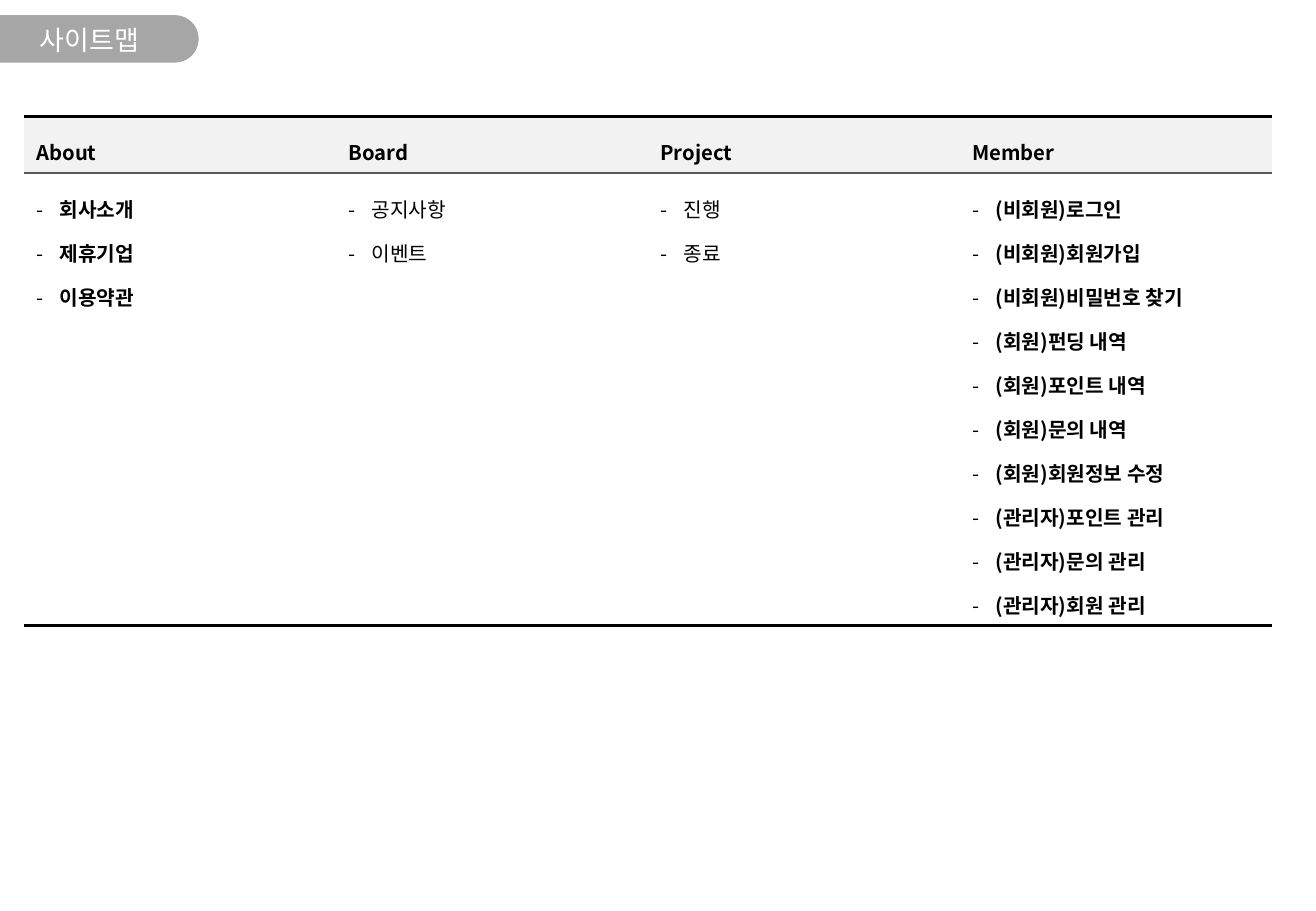
from dataclasses import dataclass

from lxml.etree import SubElement
from pptx import Presentation
from pptx.dml.color import RGBColor
from pptx.enum.shapes import MSO_SHAPE
from pptx.enum.text import MSO_ANCHOR, MSO_AUTO_SIZE, PP_ALIGN
from pptx.oxml.ns import qn
from pptx.util import Inches, Pt


@dataclass(frozen=True)
class Theme:
    font: str = "Noto Sans CJK KR"
    black: str = "000000"
    white: str = "FFFFFF"
    tab: str = "A6A6A6"
    head: str = "F2F2F2"
    rule: str = "595959"
    title: int = 16
    body: int = 12


THEME = Theme()

# Heading, bold items, items
MENU = [
    ("About", True, ["회사소개", "제휴기업", "이용약관"]),
    ("Board", False, ["공지사항", "이벤트"]),
    ("Project", False, ["진행", "종료"]),
    ("Member", True, [
        "(비회원)로그인", "(비회원)회원가입", "(비회원)비밀번호 찾기",
        "(회원)펀딩 내역", "(회원)포인트 내역", "(회원)문의 내역",
        "(회원)회원정보 수정", "(관리자)포인트 관리", "(관리자)문의 관리",
        "(관리자)회원 관리",
    ]),
]


def add_dash(para):
    """Give the paragraph a hanging dash bullet."""
    props = para._p.get_or_add_pPr()
    props.set("marL", str(Inches(0.19)))
    props.set("indent", str(-Inches(0.19)))
    SubElement(props, qn("a:buFont"), typeface=THEME.font)
    SubElement(props, qn("a:buChar"), char="-")


def put_text(frame, lines, size=THEME.body, color=THEME.black, bold=False,
             align=PP_ALIGN.LEFT, space=1.5, dash=False):
    for i, line in enumerate(lines):
        para = frame.add_paragraph() if i else frame.paragraphs[0]
        para.alignment = align
        para.line_spacing = space
        para.space_before = Pt(0)
        if dash:
            add_dash(para)
        run = para.add_run()
        run.text = line
        font = run.font
        font.size, font.bold, font.name = Pt(size), bold, THEME.font
        font.color.rgb = RGBColor.from_string(color)
        SubElement(run._r.get_or_add_rPr(), qn("a:ea"), typeface=THEME.font)


def set_edge(cell, side, color=None, width=0):
    line = SubElement(cell._tc.get_or_add_tcPr(), qn(f"a:ln{side}"),
                      w=str(Pt(width)))
    if color:
        fill = SubElement(line, qn("a:solidFill"))
        SubElement(fill, qn("a:srgbClr"), val=color)
    else:
        SubElement(line, qn("a:noFill"))


def style_cell(cell, color, top, bottom):
    set_edge(cell, "L")
    set_edge(cell, "R")
    set_edge(cell, "T", *top)
    set_edge(cell, "B", *bottom)
    cell.fill.solid()
    cell.fill.fore_color.rgb = RGBColor.from_string(color)


def add_title(slide, text):
    tab = slide.shapes.add_shape(
        MSO_SHAPE.ROUND_2_SAME_RECTANGLE,
        Inches(0.62), Inches(-0.5), Inches(0.39), Inches(1.64))
    tab.adjustments[0], tab.adjustments[1] = 0, 0.5
    tab.rotation = 270
    tab.shadow.inherit = False
    tab.fill.solid()
    tab.fill.fore_color.rgb = RGBColor.from_string(THEME.tab)
    tab.line.fill.background()

    title = slide.shapes.title
    tab.element.addnext(title.element)
    title.left, title.top = Inches(-0.01), Inches(0.13)
    title.width, title.height = Inches(1.49), Inches(0.39)
    frame = title.text_frame
    frame.auto_size = MSO_AUTO_SIZE.NONE
    frame.vertical_anchor = MSO_ANCHOR.MIDDLE
    put_text(frame, [text], size=THEME.title, color=THEME.white,
             align=PP_ALIGN.CENTER, space=1.0)


def add_menu(slide, menu):
    table = slide.shapes.add_table(
        2, len(menu), Inches(0.2), Inches(0.96),
        Inches(10.27), Inches(3.54)).table
    table.first_row = table.horz_banding = False
    table.rows[0].height, table.rows[1].height = Inches(0.44), Inches(3.1)
    thick, thin = (THEME.black, 2), (THEME.rule, 1)
    for col, (name, bold, items) in enumerate(menu):
        head, body = table.cell(0, col), table.cell(1, col)
        style_cell(head, THEME.head, thick, thin)
        style_cell(body, THEME.white, thin, thick)
        head.vertical_anchor = MSO_ANCHOR.MIDDLE
        put_text(head.text_frame, [name], bold=True)
        put_text(body.text_frame, items, bold=bold, dash=True)


def main():
    deck = Presentation()
    deck.slide_width, deck.slide_height = Inches(10.83), Inches(7.5)
    slide = deck.slides.add_slide(deck.slide_layouts[5])
    add_title(slide, "사이트맵")
    add_menu(slide, MENU)
    deck.save("out.pptx")


if __name__ == "__main__":
    main()
